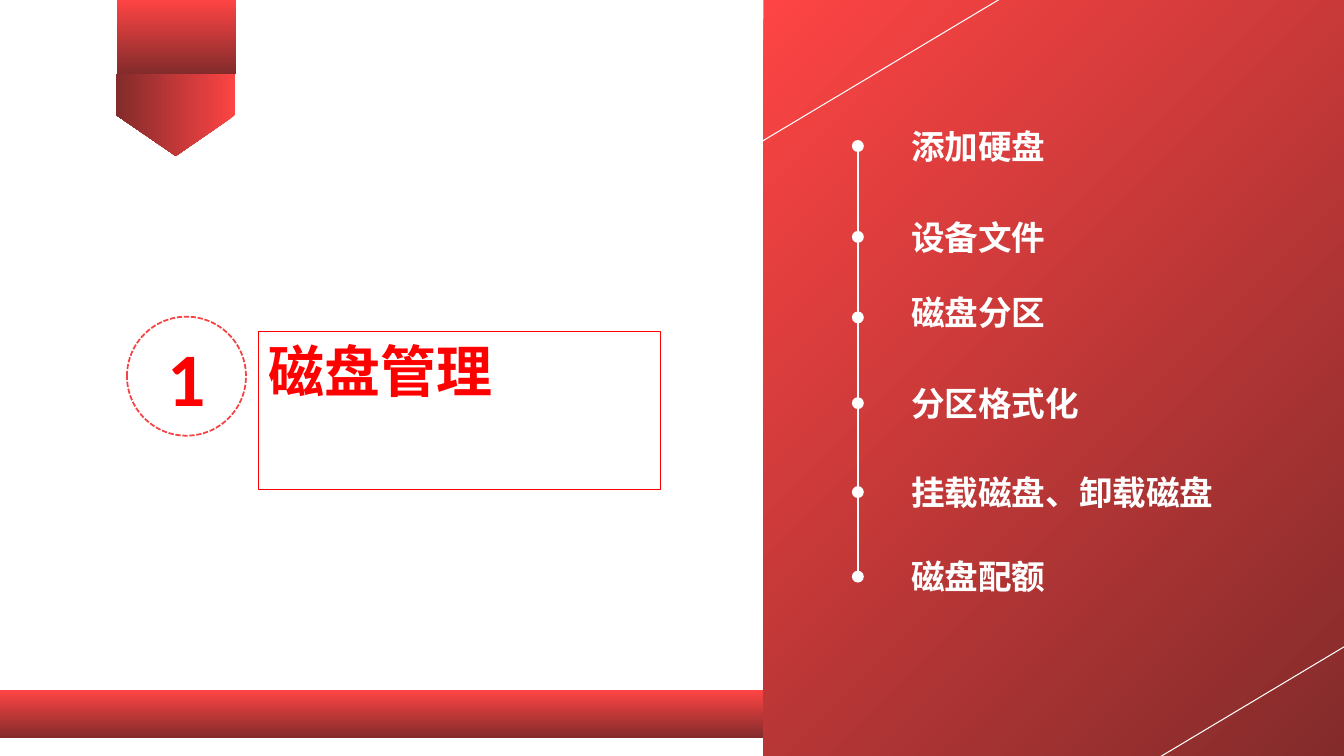
from dataclasses import dataclass
from itertools import pairwise

from lxml.etree import SubElement
from pptx import Presentation
from pptx.dml.color import RGBColor
from pptx.enum.dml import MSO_LINE
from pptx.enum.shapes import MSO_CONNECTOR, MSO_SHAPE
from pptx.enum.text import MSO_ANCHOR, MSO_AUTO_SIZE, PP_ALIGN
from pptx.oxml.ns import qn
from pptx.util import Cm, Pt


@dataclass(frozen=True)
class Theme:
    white: RGBColor = RGBColor.from_string("FFFFFF")
    accent: RGBColor = RGBColor.from_string("FF0000")
    ring: RGBColor = RGBColor.from_string("F64242")
    bright: RGBColor = RGBColor.from_string("FE4444")
    deep: RGBColor = RGBColor.from_string("832B2B")
    latin_font: str = "Calibri"
    chinese_font: str = "Noto Sans CJK SC"
    number_size: Pt = Pt(54)
    title_size: Pt = Pt(40)
    topic_size: Pt = Pt(24)
    hairline: Pt = Pt(0.75)
    spine_line: Pt = Pt(1)
    ring_line: Pt = Pt(1.25)


THEME = Theme()
DOWNWARD = 270
DIAGONAL = 315
SPINE_X = 21.62
DOT_SIZE = 0.3
TOPIC_LEFT = 22.71
TOPIC_HEIGHT = 1.27

TOPICS = [
    ("添加硬盘", 3.05, 6.96, 3.68),
    ("设备文件", 5.33, 6.96, 5.97),
    ("磁盘分区", 7.24, 9.78, 8.0),
    ("分区格式化", 9.53, 9.78, 10.16),
    ("挂载磁盘、卸载磁盘", 11.76, 9.78, 12.4),
    ("磁盘配额", 13.89, 9.78, 14.53),
]


def add_plain_shape(slide, kind, left, top, width, height):
    shape = slide.shapes.add_shape(kind, Cm(left), Cm(top), Cm(width), Cm(height))
    shape.shadow.inherit = False
    shape.line.fill.background()
    return shape


def add_gradient_shape(slide, kind, left, top, width, height, angle=DOWNWARD):
    shape = add_plain_shape(slide, kind, left, top, width, height)
    shape.fill.gradient()
    shape.fill.gradient_angle = angle
    for stop, color in zip(shape.fill.gradient_stops, (THEME.bright, THEME.deep)):
        stop.color.rgb = color
    return shape


def add_white_circle(slide, left, top, size):
    circle = add_plain_shape(slide, MSO_SHAPE.OVAL, left, top, size, size)
    circle.fill.solid()
    circle.fill.fore_color.rgb = THEME.white
    return circle


def add_white_line(slide, start, end, width):
    line = slide.shapes.add_connector(
        MSO_CONNECTOR.STRAIGHT, Cm(start[0]), Cm(start[1]), Cm(end[0]), Cm(end[1])
    )
    line.line.color.rgb = THEME.white
    line.line.width = width
    SubElement(line._element.spPr, qn("a:effectLst"))


def write_text(frame, text, size, color, font_name, align=PP_ALIGN.LEFT):
    frame.text = text
    paragraph = frame.paragraphs[0]
    paragraph.alignment = align
    paragraph.line_spacing = 1.0
    run = paragraph.runs[0]
    run.font.size = size
    run.font.bold = True
    run.font.color.rgb = color
    run.font.name = font_name
    SubElement(run._r.get_or_add_rPr(), qn("a:ea")).set("typeface", font_name)


def place_title(slide, text):
    title = slide.shapes.title
    title.left, title.top = Cm(6.52), Cm(8.36)
    title.width, title.height = Cm(10.12), Cm(1.96)
    title.line.color.rgb = THEME.accent
    title.line.width = THEME.hairline
    frame = title.text_frame
    frame.word_wrap = True
    frame.auto_size = MSO_AUTO_SIZE.SHAPE_TO_FIT_TEXT
    frame.vertical_anchor = MSO_ANCHOR.TOP
    write_text(frame, text, THEME.title_size, THEME.accent, THEME.chinese_font)


def add_chapter_number(slide, number):
    badge = add_white_circle(slide, 3.2, 7.98, 3)
    badge.line.color.rgb = THEME.ring
    badge.line.width = THEME.ring_line
    badge.line.dash_style = MSO_LINE.SQUARE_DOT
    badge.text_frame.vertical_anchor = MSO_ANCHOR.MIDDLE
    write_text(badge.text_frame, number, THEME.number_size, THEME.accent,
               THEME.latin_font, PP_ALIGN.CENTER)


def add_topic(slide, text, top, width):
    topic = slide.shapes.add_textbox(Cm(TOPIC_LEFT), Cm(top), Cm(width), Cm(TOPIC_HEIGHT))
    topic.text_frame.word_wrap = True
    topic.text_frame.auto_size = MSO_AUTO_SIZE.SHAPE_TO_FIT_TEXT
    write_text(topic.text_frame, text, THEME.topic_size, THEME.white, THEME.chinese_font)


def add_decoration(slide):
    ribbon_tip = add_gradient_shape(slide, MSO_SHAPE.PENTAGON, 3.4, 1.4, 2.06, 3)
    ribbon_tip.rotation = 90
    add_gradient_shape(slide, MSO_SHAPE.RECTANGLE, 2.95, 0, 3, 1.86)
    add_gradient_shape(slide, MSO_SHAPE.RECTANGLE, 0, 17.4, 31.65, 1.2)
    add_gradient_shape(slide, MSO_SHAPE.RECTANGLE, 19.24, -0.05, 14.7, 19.1, DIAGONAL)
    add_white_line(slide, (26.31, -0.69), (18.92, 3.73), THEME.hairline)
    add_white_line(slide, (35.51, 15.32), (28.12, 19.74), THEME.hairline)


def add_timeline(slide):
    centers = [center for *_, center in TOPICS]
    for upper, lower in pairwise(centers):
        add_white_line(slide, (SPINE_X, upper), (SPINE_X, lower), THEME.spine_line)
    for text, top, width, center in TOPICS:
        add_white_circle(slide, SPINE_X - DOT_SIZE / 2, center - DOT_SIZE / 2, DOT_SIZE)
        add_topic(slide, text, top, width)


def main():
    deck = Presentation()
    deck.slide_width, deck.slide_height = Cm(33.87), Cm(19.05)
    slide = deck.slides.add_slide(deck.slide_layouts.get_by_name("Title Only"))
    add_decoration(slide)
    add_chapter_number(slide, "1")
    place_title(slide, "磁盘管理")
    add_timeline(slide)
    deck.save("out.pptx")


if __name__ == "__main__":
    main()
